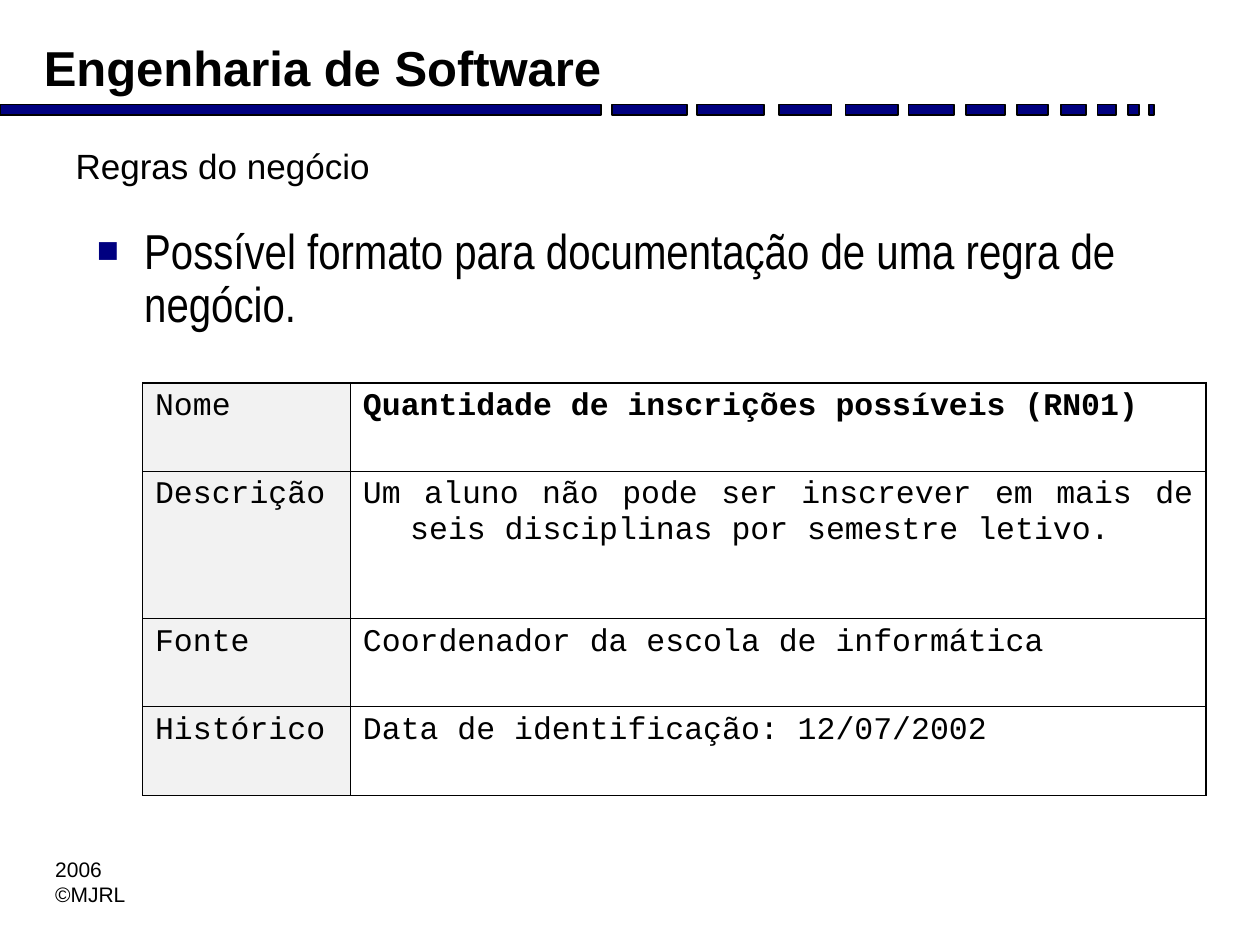
from typing import NamedTuple

from lxml.etree import SubElement
from pptx import Presentation
from pptx.dml.color import RGBColor
from pptx.enum.shapes import MSO_SHAPE
from pptx.enum.text import MSO_ANCHOR, MSO_AUTO_SIZE, PP_ALIGN
from pptx.oxml.ns import qn
from pptx.util import Pt

BLACK = RGBColor(0x00, 0x00, 0x00)
NAVY = RGBColor(0x00, 0x00, 0x80)
WHITE = RGBColor(0xFF, 0xFF, 0xFF)
LABEL_GREY = RGBColor(0xF2, 0xF2, 0xF2)

BAR_TOP, BAR_HEIGHT = 59.8, 6
THIN, MEDIUM, THICK = 0.45, 0.96, 1.47
HANGING = 27


class Bar(NamedTuple):
    left: float
    width: float


class RuleField(NamedTuple):
    label: str
    content: str
    height: float
    bold: bool = False


class Borders(NamedTuple):
    left: float
    right: float
    top: float
    bottom: float


BARS = [
    Bar(0, 343.4), Bar(349.9, 42.5), Bar(398.2, 38.2), Bar(445, 30.2),
    Bar(483.1, 30.2), Bar(519.1, 25.9), Bar(552.2, 22.3), Bar(581, 18),
    Bar(606.2, 14.4), Bar(627.1, 10.8), Bar(644.4, 6.5), Bar(656.6, 2.9),
]

FIELDS = [
    RuleField("Nome", "Quantidade de inscrições possíveis (RN01)", 50.4, True),
    RuleField("Descrição", "Um aluno não pode ser inscrever em mais de seis "
              "disciplinas por semestre letivo.", 84.2),
    RuleField("Fonte", "Coordenador da escola de informática", 50.4),
    RuleField("Histórico", "Data de identificação: 12/07/2002", 50.4),
]


def write(frame, text: str, *, size: float, font: str = "Arial", bold: bool = False,
          align=PP_ALIGN.LEFT, hanging: float = 0, bullet: str = "",
          line_spacing: float = 1.0) -> None:
    for index, line in enumerate(text.split("\n")):
        paragraph = frame.paragraphs[0] if index == 0 else frame.add_paragraph()
        properties = paragraph._p.get_or_add_pPr()
        properties.set("marL", str(Pt(hanging)))
        properties.set("indent", str(Pt(-hanging)))
        if bullet:
            color = SubElement(properties, qn("a:buClr"))
            SubElement(color, qn("a:srgbClr"), val=str(NAVY))
            SubElement(properties, qn("a:buSzPct"), val="75000")
            SubElement(properties, qn("a:buFont"), typeface="Arial")
            SubElement(properties, qn("a:buChar"), char=bullet)
        paragraph.alignment = align
        paragraph.line_spacing = line_spacing
        paragraph.space_before = Pt(0)
        run = paragraph.add_run()
        run.text = line
        run.font.size = Pt(size)
        run.font.name = font
        run.font.bold = bold
        run.font.color.rgb = BLACK


def place(shape, left: float, top: float, width: float, height: float) -> None:
    shape.left, shape.top = Pt(left), Pt(top)
    shape.width, shape.height = Pt(width), Pt(height)


def draw_bar(group, bar: Bar) -> None:
    segment = group.shapes.add_shape(
        MSO_SHAPE.RECTANGLE, Pt(bar.left), Pt(BAR_TOP), Pt(bar.width), Pt(BAR_HEIGHT))
    segment.shadow.inherit = False
    segment.fill.solid()
    segment.fill.fore_color.rgb = NAVY
    segment.line.color.rgb = BLACK
    segment.line.width = Pt(1)


def set_borders(cell, borders: Borders) -> None:
    properties = cell._tc.get_or_add_tcPr()
    for position, (side, width) in enumerate(zip("LRTB", borders)):
        edge = SubElement(properties, qn(f"a:ln{side}"), w=str(Pt(width)))
        properties.insert(position, edge)
        fill = SubElement(edge, qn("a:solidFill"))
        SubElement(fill, qn("a:srgbClr"), val=str(BLACK))


def draw_rule_table(slide, fields: list[RuleField]) -> None:
    height = sum(field.height for field in fields)
    table = slide.shapes.add_table(
        len(fields), 2, Pt(81.4), Pt(218.9), Pt(607.7), Pt(height)).table
    table.first_row = table.horz_banding = False
    table.columns[0].width, table.columns[1].width = Pt(118.8), Pt(488.9)
    for row, field in enumerate(fields):
        table.rows[row].height = Pt(field.height)
        top = THIN if row else THICK
        label, content = table.cell(row, 0), table.cell(row, 1)
        label.fill.solid()
        label.fill.fore_color.rgb = LABEL_GREY
        content.fill.background()
        set_borders(label, Borders(THIN, MEDIUM, top, THIN))
        set_borders(content, Borders(MEDIUM, THICK, top, THIN))
        for cell, text, bold in ((label, field.label, False),
                                 (content, field.content, field.bold)):
            write(cell.text_frame, text, size=18, font="Courier New", bold=bold,
                  align=PP_ALIGN.JUSTIFY, hanging=HANGING)


def main() -> None:
    deck = Presentation()
    deck.slide_width, deck.slide_height = Pt(720), Pt(540)
    slide = deck.slides.add_slide(deck.slide_layouts[1])

    bar_group = slide.shapes.add_group_shape()
    for bar in BARS:
        draw_bar(bar_group, bar)

    course = slide.shapes.add_textbox(Pt(18), Pt(18), Pt(347.8), Pt(40.3))
    course.text_frame.word_wrap = True
    write(course.text_frame, "Engenharia de Software", size=28, bold=True)

    copyright_box = slide.shapes.add_textbox(Pt(24.5), Pt(486), Pt(54.7), Pt(36))
    copyright_box.text_frame.word_wrap = False
    write(copyright_box.text_frame, "2006\n©MJRL", size=12)

    topic = slide.shapes.title
    place(topic, 36, 77, 648, 34.6)
    topic.fill.solid()
    topic.fill.fore_color.rgb = WHITE
    topic.text_frame.auto_size = MSO_AUTO_SIZE.NONE
    topic.text_frame.vertical_anchor = MSO_ANCHOR.MIDDLE
    write(topic.text_frame, "Regras do negócio", size=20)

    summary = slide.placeholders[1]
    place(summary, 48.2, 126, 617, 70.6)
    summary.text_frame.auto_size = MSO_AUTO_SIZE.NONE
    write(summary.text_frame,
          "Possível formato para documentação de uma regra de negócio.",
          size=28, font="Arial Narrow", hanging=HANGING, bullet="■", line_spacing=0.9)

    draw_rule_table(slide, FIELDS)
    deck.save("out.pptx")


if __name__ == "__main__":
    main()
